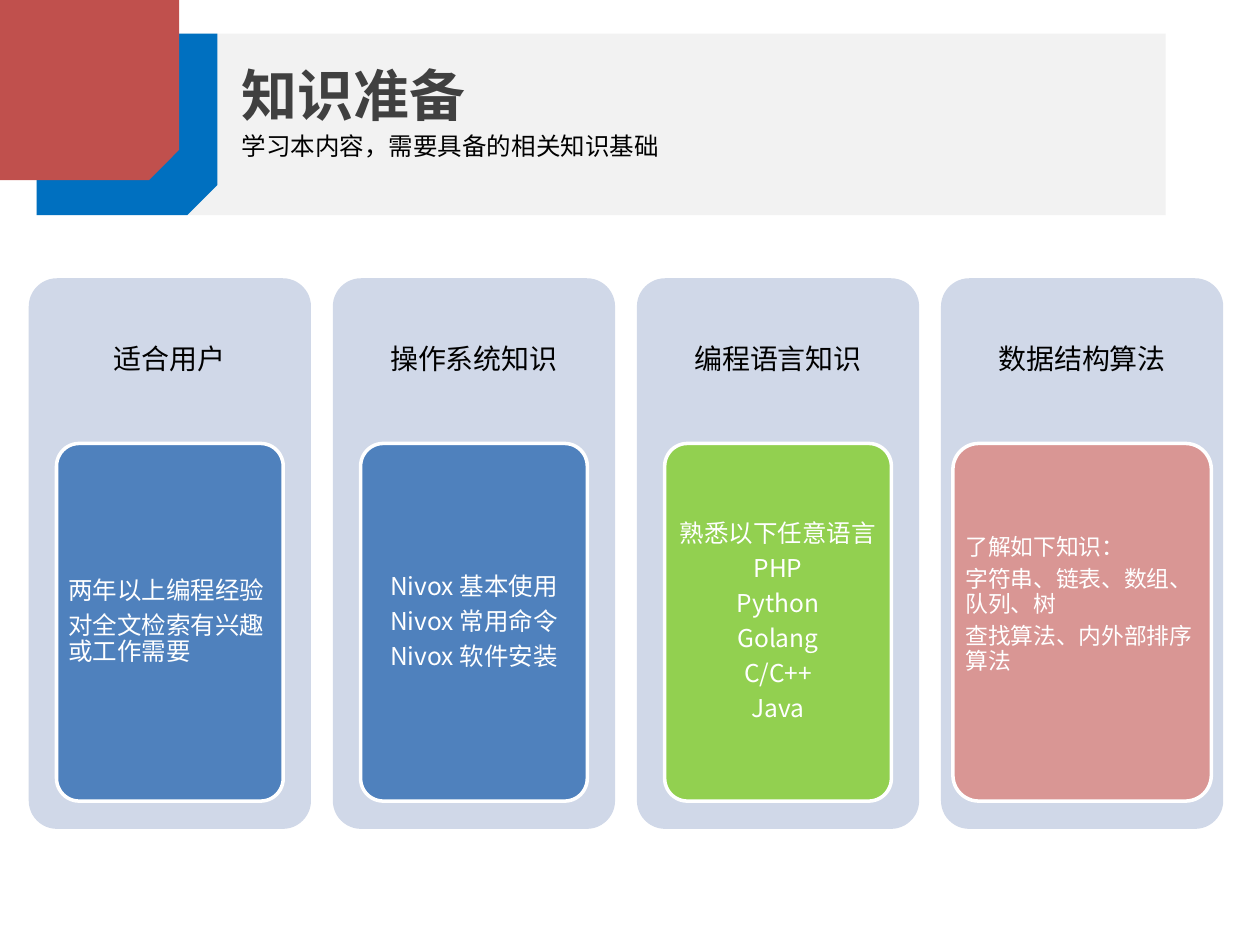
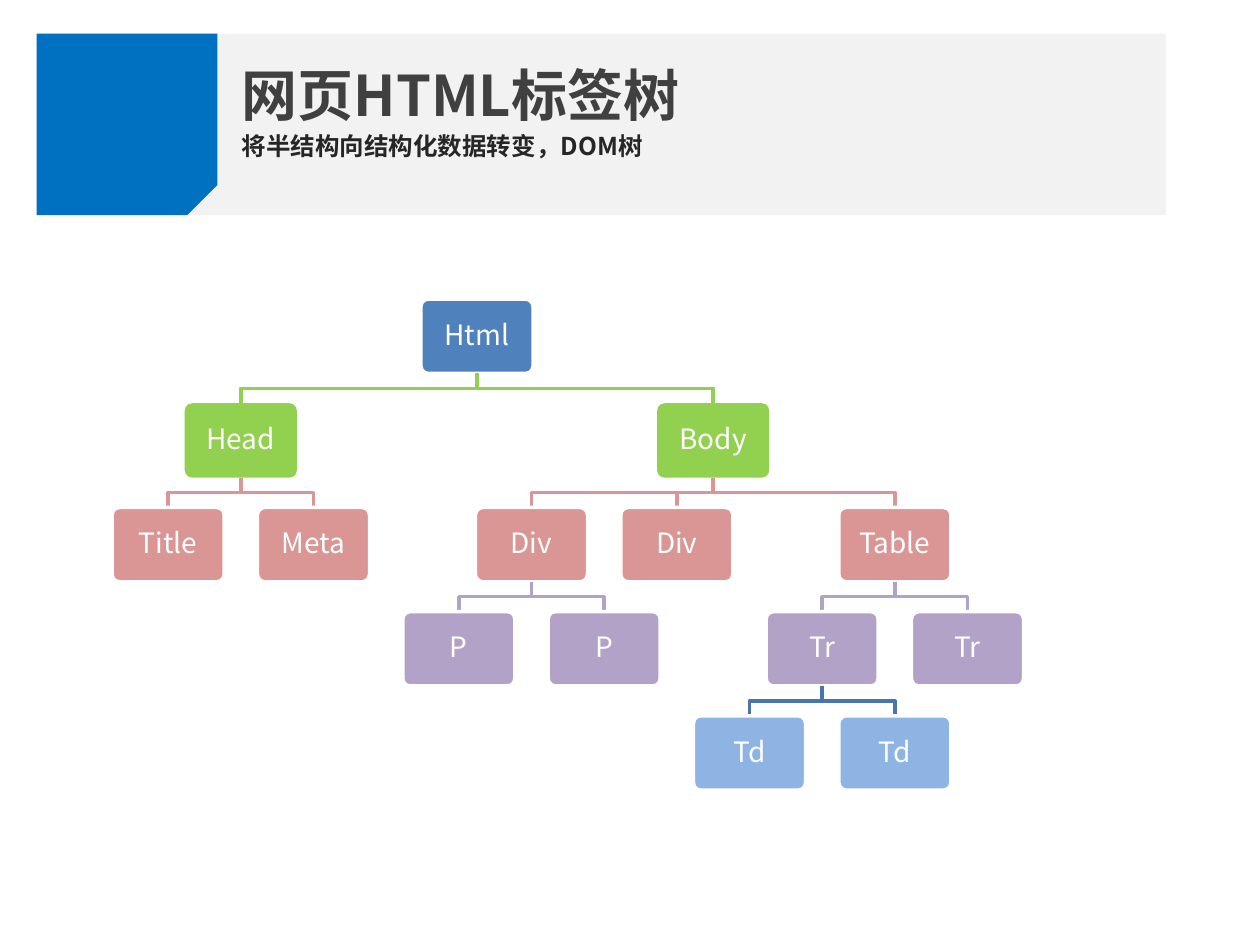
from lxml.etree import SubElement
from pptx import Presentation
from pptx.dml.color import RGBColor
from pptx.enum.shapes import MSO_SHAPE
from pptx.enum.text import MSO_ANCHOR, MSO_AUTO_SIZE, PP_ALIGN
from pptx.oxml.ns import qn
from pptx.util import Cm, Pt

FONT = "Noto Sans CJK SC"
WHITE, BLACK, DARK, TITLE_GREY = "FFFFFF", "000000", "262626", "404040"
BAND, BRAND_BLUE, RED, PANEL = "F2F2F2", "0070C0", "C0504D", "D0D8E8"
BLUE, GREEN, PINK, PURPLE, SKY, STEEL = (
    "4F81BD", "92D050", "D99694", "B3A2C7", "8EB4E3", "4875AC")

KNOWLEDGE = {
    "title": "知识准备",
    "subtitle": "学习本内容，需要具备的相关知识基础",
    "columns": [
        {"heading": "适合用户", "fill": BLUE, "align": PP_ALIGN.LEFT,
         "lines": ["两年以上编程经验", "对全文检索有兴趣或工作需要"]},
        {"heading": "操作系统知识", "fill": BLUE,
         "lines": ["Nivox 基本使用", "Nivox 常用命令", "Nivox 软件安装"]},
        {"heading": "编程语言知识", "fill": GREEN,
         "lines": ["熟悉以下任意语言", "PHP", "Python", "Golang", "C/C++", "Java"]},
        {"heading": "数据结构算法", "fill": PINK, "align": PP_ALIGN.LEFT,
         "width": 5.21, "size": 13, "bottom": 0.78,
         "lines": ["了解如下知识：", "字符串、链表、数组、队列、树",
                   "查找算法、内外部排序算法"]},
    ],
}

# A node is (tag, children); a leaf is (tag, column), two columns per node pitch
TAG_TREE = ("Html", [
    ("Head", [("Title", 0), ("Meta", 2)]),
    ("Body", [
        ("Div", [("P", 4), ("P", 6)]),
        ("Div", 7),
        ("Table", [("Tr", [("Td", 8), ("Td", 10)]), ("Tr", 11)]),
    ]),
])
LEVEL_FILLS = [BLUE, GREEN, PINK, PURPLE, SKY]
BRANCH_COLOURS = [None, GREEN, PINK, PURPLE, STEEL]

PANEL_LEFT, PANEL_TOP, PANEL_WIDTH, PANEL_HEIGHT, PANEL_PITCH = 0.58, 5.61, 5.69, 11.1, 6.13
CARD_TOP, CARD_WIDTH, CARD_HEIGHT = 8.94, 4.57, 7.21
NODE_WIDTH, NODE_HEIGHT, NODE_PITCH = 2.26, 1.5, 2.93
TREE_LEFT, TREE_TOP, LEVEL_PITCH = 3.39, 6.03, 2.1


def colour(code):
    return RGBColor.from_string(code)


def apply(target, values):
    for name, value in values.items():
        setattr(target, name, value)


def write(frame, lines, size, code, bold=False, insets=None, **para_format):
    """Fill a text frame, one paragraph a line; insets are left, top, right, bottom in cm."""
    frame.word_wrap = True
    if insets:
        sides = ("margin_left", "margin_top", "margin_right", "margin_bottom")
        apply(frame, dict(zip(sides, map(Cm, insets))))
    for number, line in enumerate(lines):
        para = frame.add_paragraph() if number else frame.paragraphs[0]
        apply(para, para_format)
        span = para.add_run()
        span.text = line
        apply(span.font, {"name": FONT, "size": Pt(size), "bold": bold})
        span.font.color.rgb = colour(code)
        SubElement(span.font._element, qn("a:ea"), typeface=FONT)


def write_block(shape, lines, size, code, insets, align=PP_ALIGN.CENTER):
    """Write the tight, vertically centred text used inside rounded boxes."""
    shape.text_frame.vertical_anchor = MSO_ANCHOR.MIDDLE
    write(shape.text_frame, lines, size, code, insets=insets, alignment=align,
          line_spacing=0.9, space_after=Pt(0.35 * size))


def add_block(page, kind, area, fill, outline=None):
    shape = page.shapes.add_shape(kind, *map(Cm, area))
    shape.shadow.inherit = False
    shape.fill.solid()
    shape.fill.fore_color.rgb = colour(fill)
    if outline:
        shape.line.color.rgb = colour(outline)
        shape.line.width = Pt(2)
    else:
        shape.line.fill.background()
    return shape


def add_rounded(page, area, fill, outline=None):
    shape = add_block(page, MSO_SHAPE.ROUNDED_RECTANGLE, area, fill, outline)
    shape.adjustments[0] = 0.1
    return shape


def add_snipped_square(page, left, top, fill):
    """Add a near-square whose lower right corner is cut off, by a quarter turn."""
    area = (left, top, 3.66, 3.64)
    add_block(page, MSO_SHAPE.SNIP_1_RECTANGLE, area, fill).rotation = 90


def add_text(page, area, text, size, code, **text_format):
    box = page.shapes.add_textbox(*map(Cm, area))
    write(box.text_frame, [text], size, code, **text_format)
    box.text_frame.auto_size = MSO_AUTO_SIZE.SHAPE_TO_FIT_TEXT


def add_page(deck, title, subtitle, subtitle_colour, subtitle_bold=False):
    """Add a page with the shared band, blue corner and headings."""
    page = deck.slides.add_slide(deck.slide_layouts[6])
    add_block(page, MSO_SHAPE.RECTANGLE, (0.74, 0.68, 22.76, 3.66), BAND)
    add_snipped_square(page, 0.73, 0.69, BRAND_BLUE)
    add_text(page, (4.62, 2.51, 18.54, 0.86), subtitle, 14, subtitle_colour,
             bold=subtitle_bold)
    add_text(page, (4.62, 0.41, 18.57, 2.3), title, 32, TITLE_GREY,
             bold=True, line_spacing=1.5)
    return page


def add_column(page, number, column):
    left = PANEL_LEFT + number * PANEL_PITCH
    panel = add_rounded(page, (left, PANEL_TOP, PANEL_WIDTH, PANEL_HEIGHT), PANEL)
    write_block(panel, [column["heading"]], 16, BLACK, (0.18, 0.18, 0.18, 7.95))
    width = column.get("width", CARD_WIDTH)
    card_left = left + (PANEL_WIDTH - width) / 2
    card = add_rounded(page, (card_left, CARD_TOP, width, CARD_HEIGHT),
                       column["fill"], WHITE)
    write_block(card, column["lines"], column.get("size", 14), WHITE,
                (0.1, 0.08, 0.1, column.get("bottom", 0.08)),
                column.get("align", PP_ALIGN.CENTER))


def find_column(node):
    """A parent stands midway between its first and last child."""
    below = node[1]
    if isinstance(below, list):
        return (find_column(below[0]) + find_column(below[-1])) / 2
    return below


def find_centre(node):
    return TREE_LEFT + find_column(node) * NODE_PITCH / 2


def add_branch(page, parent_x, child_x, child_top, code):
    start = child_top - LEVEL_PITCH + NODE_HEIGHT
    middle = (start + child_top) / 2
    builder = page.shapes.build_freeform(Cm(parent_x), Cm(start))
    bends = [(parent_x, middle), (child_x, middle), (child_x, child_top)]
    builder.add_line_segments([(Cm(x), Cm(y)) for x, y in bends], close=False)
    branch = builder.convert_to_shape()
    branch.shadow.inherit = False
    branch.fill.background()
    branch.line.color.rgb = colour(code)
    branch.line.width = Pt(2)


def add_node(page, node, level=0):
    """Draw a tag box, then its branches and everything below it."""
    tag, below = node
    centre, top = find_centre(node), TREE_TOP + level * LEVEL_PITCH
    box = add_rounded(page, (centre - NODE_WIDTH / 2, top, NODE_WIDTH, NODE_HEIGHT),
                      LEVEL_FILLS[level], None if level == 1 else WHITE)
    write_block(box, [tag], 16, WHITE, (0.18,) * 4)
    for child in below if isinstance(below, list) else []:
        add_branch(page, centre, find_centre(child), top + LEVEL_PITCH,
                   BRANCH_COLOURS[level + 1])
        add_node(page, child, level + 1)


def main():
    deck = Presentation()
    apply(deck, {"slide_width": Cm(25.4), "slide_height": Cm(19.05)})

    page = add_page(deck, KNOWLEDGE["title"], KNOWLEDGE["subtitle"], BLACK)
    add_snipped_square(page, -0.04, -0.02, RED)
    for number, column in enumerate(KNOWLEDGE["columns"]):
        add_column(page, number, column)

    page = add_page(deck, "网页HTML标签树", "将半结构向结构化数据转变，DOM树", DARK, True)
    add_node(page, TAG_TREE)

    deck.save("out.pptx")


if __name__ == "__main__":
    main()
